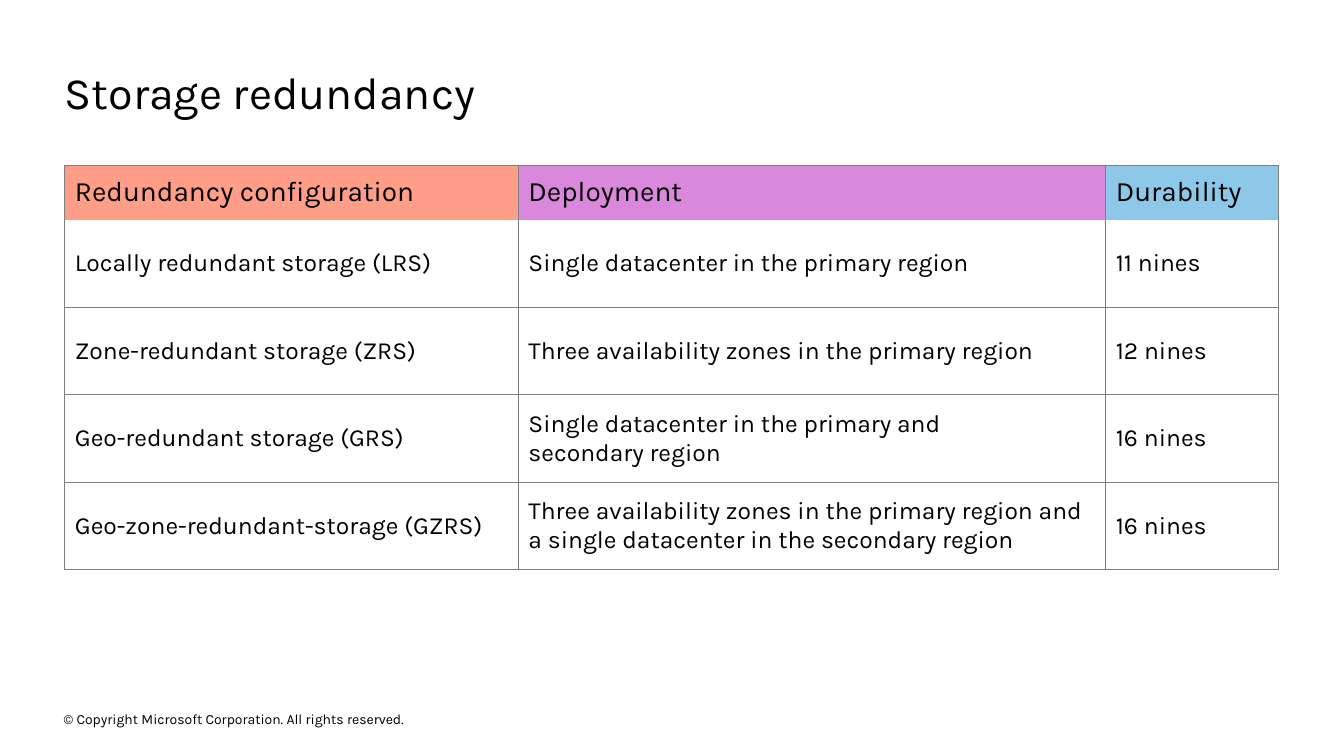
from dataclasses import dataclass

from lxml import etree
from pptx import Presentation
from pptx.dml import color
from pptx.enum import text
from pptx.oxml import ns
from pptx.util import Pt


@dataclass(frozen=True)
class Theme:
    font: str = "Karla"
    ink: str = "000000"
    paper: str = "FFFFFF"
    border: str = "808080"
    border_width: float = 0.5
    title_size: float = 32
    header_size: float = 20
    body_size: float = 17.6
    footer_size: float = 10


@dataclass(frozen=True)
class Column:
    heading: str
    width: float
    fill: str


@dataclass(frozen=True)
class Box:
    left: float
    top: float
    width: float
    height: float


THEME = Theme()
TITLE_BOX = Box(46.3, 46.3, 867, 29)
TABLE_BOX = Box(46.3, 118, 867, 289)
FOOTER_BOX = Box(45.5, 505.5, 327, 16)
HEADER_HEIGHT = 39
ROW_HEIGHT = 62.5

COLUMNS = [
    Column("Redundancy configuration", 324, "FE9D88"),
    Column("Deployment", 419.5, "D988DC"),
    Column("Durability", 123.5, "8DC8E8"),
]
STORAGE_OPTIONS = [
    ("Locally redundant storage (LRS)",
     "Single datacenter in the primary region", "11 nines"),
    ("Zone-redundant storage (ZRS)",
     "Three availability zones in the primary region", "12 nines"),
    ("Geo-redundant storage (GRS)",
     "Single datacenter in the primary and \vsecondary region", "16 nines"),
    ("Geo-zone-redundant-storage (GZRS)",
     "Three availability zones in the primary region and "
     "a single datacenter in the secondary region", "16 nines"),
]


def style_paragraph(paragraph, size: float) -> None:
    paragraph.alignment = text.PP_ALIGN.LEFT
    paragraph.font.name = THEME.font
    paragraph.font.size = Pt(size)
    paragraph.font.bold = False
    paragraph.font.color.rgb = color.RGBColor.from_string(THEME.ink)


def fill_text_box(shape, box: Box, words: str, size: float, anchor) -> None:
    shape.left, shape.top = Pt(box.left), Pt(box.top)
    shape.width, shape.height = Pt(box.width), Pt(box.height)
    frame = shape.text_frame
    frame.text = words
    frame.word_wrap = True
    frame.vertical_anchor = anchor
    frame.margin_left = frame.margin_right = 0
    frame.margin_top = frame.margin_bottom = 0
    style_paragraph(frame.paragraphs[0], size)


def set_borders(cell, hidden_side: str) -> None:
    properties = cell._tc.get_or_add_tcPr()
    for index, side in enumerate("LRTB"):
        line = etree.Element(ns.qn(f"a:ln{side}"), w=str(Pt(THEME.border_width)))
        if side == hidden_side:
            etree.SubElement(line, ns.qn("a:noFill"))
        else:
            solid = etree.SubElement(line, ns.qn("a:solidFill"))
            etree.SubElement(solid, ns.qn("a:srgbClr"), val=THEME.border)
        properties.insert(index, line)


def fill_cell(cell, words: str, size: float, fill: str, hidden_side: str) -> None:
    cell.text = words
    cell.vertical_anchor = text.MSO_ANCHOR.MIDDLE
    cell.fill.solid()
    cell.fill.fore_color.rgb = color.RGBColor.from_string(fill)
    style_paragraph(cell.text_frame.paragraphs[0], size)
    set_borders(cell, hidden_side)


def add_redundancy_table(slide) -> None:
    table = slide.shapes.add_table(
        len(STORAGE_OPTIONS) + 1, len(COLUMNS), Pt(TABLE_BOX.left),
        Pt(TABLE_BOX.top), Pt(TABLE_BOX.width), Pt(TABLE_BOX.height)).table
    table.first_row = table.horz_banding = False
    for row_index, row in enumerate(table.rows):
        row.height = Pt(ROW_HEIGHT if row_index else HEADER_HEIGHT)

    for column_index, column in enumerate(COLUMNS):
        table.columns[column_index].width = Pt(column.width)
        fill_cell(table.cell(0, column_index), column.heading,
                  THEME.header_size, column.fill, "B")
        # No rule between the header and the first body row
        for row_index, option in enumerate(STORAGE_OPTIONS, start=1):
            fill_cell(table.cell(row_index, column_index), option[column_index],
                      THEME.body_size, THEME.paper, "T" if row_index == 1 else "")


def main() -> None:
    presentation = Presentation()
    presentation.slide_width, presentation.slide_height = Pt(960), Pt(540)
    slide = presentation.slides.add_slide(presentation.slide_layouts[5])

    # Title
    title = slide.shapes.title
    fill_text_box(title, TITLE_BOX, "Storage redundancy",
                  THEME.title_size, text.MSO_ANCHOR.TOP)
    title.text_frame.auto_size = text.MSO_AUTO_SIZE.SHAPE_TO_FIT_TEXT

    # Table
    add_redundancy_table(slide)

    # Copyright line
    footer = slide.shapes.add_textbox(0, 0, 0, 0)
    fill_text_box(footer, FOOTER_BOX,
                  "© Copyright Microsoft Corporation. All rights reserved.",
                  THEME.footer_size, text.MSO_ANCHOR.MIDDLE)

    presentation.save("out.pptx")


if __name__ == "__main__":
    main()
